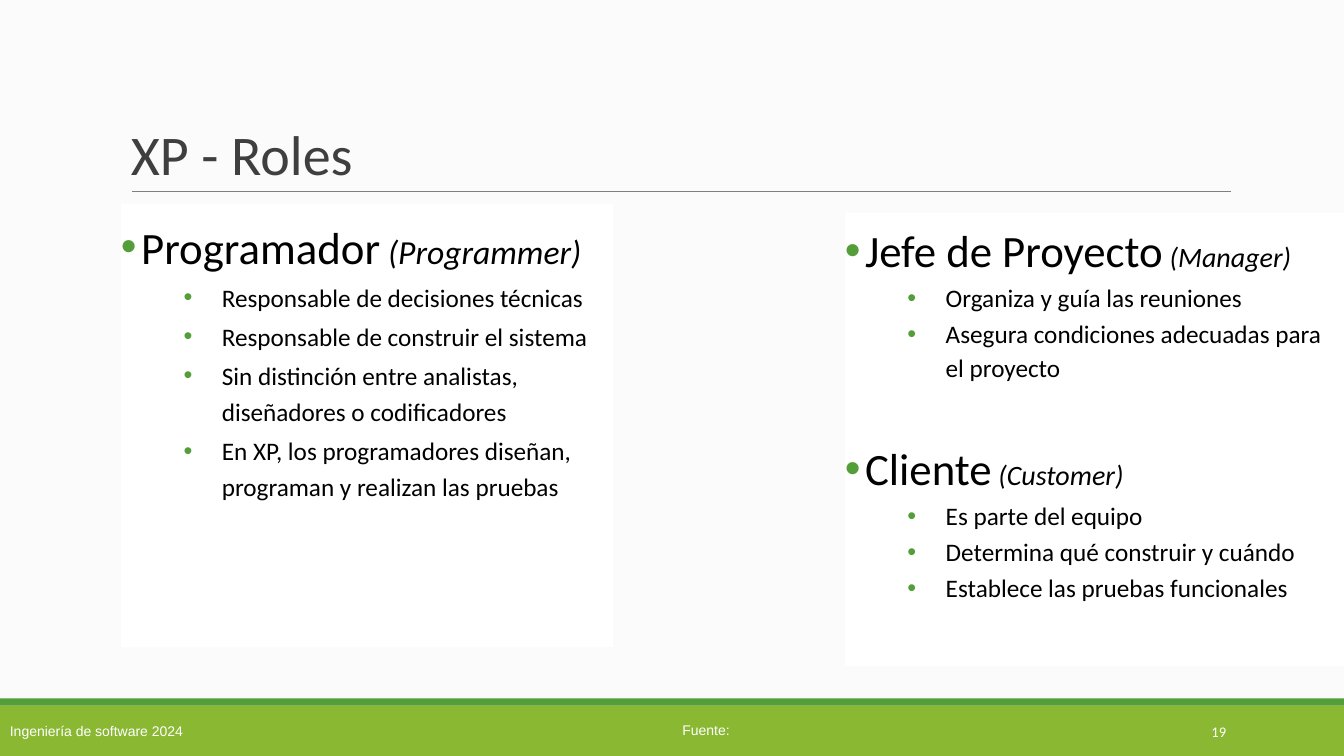
from lxml import etree
from pptx import Presentation
from pptx.dml.color import RGBColor
from pptx.enum.shapes import MSO_CONNECTOR, MSO_SHAPE
from pptx.enum.text import MSO_ANCHOR, PP_ALIGN
from pptx.oxml.ns import qn
from pptx.util import Pt

PX = 9144  # 100 px to the inch
RECTANGLE, STRAIGHT = MSO_SHAPE.RECTANGLE, MSO_CONNECTOR.STRAIGHT
TOP, MIDDLE, BOTTOM = MSO_ANCHOR.TOP, MSO_ANCHOR.MIDDLE, MSO_ANCHOR.BOTTOM
LEFT, RIGHT = PP_ALIGN.LEFT, PP_ALIGN.RIGHT

THEME = {
    "background": RGBColor(0xFB, 0xFB, 0xFB),
    "white": RGBColor(0xFF, 0xFF, 0xFF),
    "black": RGBColor(0, 0, 0),
    "title": RGBColor(0x3F, 0x3F, 0x3F),
    "rule": RGBColor(0x7F, 0x7F, 0x7F),
    "lime": RGBColor(0x8A, 0xB8, 0x33),
    "green": RGBColor(0x54, 0x9E, 0x39),
    "title_size": 40, "role_size": 32, "duty_size": 18,
    "footer_size": 10, "number_size": 10.5,
    "body_font": "Calibri", "footer_font": "Arial",
}

prs = Presentation()
prs.slide_width, prs.slide_height = 1333 * PX, 750 * PX
slide = prs.slides.add_slide(prs.slide_layouts[6])
slide.background.fill.solid()
slide.background.fill.fore_color.rgb = THEME["background"]


def add_block(left, top, width, height, color):
    block = slide.shapes.add_shape(RECTANGLE, left * PX, top * PX, width * PX, height * PX)
    block.shadow.inherit = False
    block.fill.solid()
    block.fill.fore_color.rgb = THEME[color]
    block.line.fill.background()
    return block


def set_bullet(paragraph, margin, hanging):
    properties = paragraph._p.get_or_add_pPr()
    properties.set("marL", str(margin * PX))
    properties.set("indent", str(-hanging * PX))
    color = etree.SubElement(properties, qn("a:buClr"))
    etree.SubElement(color, qn("a:srgbClr"), val=str(THEME["green"]))
    etree.SubElement(properties, qn("a:buFont"), typeface="Arial")
    etree.SubElement(properties, qn("a:buChar"), char="•")


# Footer bands and title rule
add_block(0, 700, 1333, 50, "lime")
add_block(0, 693, 1333, 7, "green")
title_rule = slide.shapes.add_connector(STRAIGHT, 131 * PX, 190 * PX, 1221 * PX, 190 * PX)
title_rule.line.color.rgb = THEME["rule"]
title_rule.line.width = Pt(0.75)
etree.SubElement(title_rule._element.spPr, qn("a:effectLst"))

# Title and footer texts
labels = [
    ("XP - Roles", (120, 31, 1100, 159), "title_size", "body_font", "title", BOTTOM, LEFT),
    ("Ingeniería de software 2024", (0, 700, 400, 50), "footer_size", "footer_font", "white", MIDDLE, LEFT),
    ("Fuente:", (667, 711, 67, 27), "footer_size", "footer_font", "white", TOP, LEFT),
    ("19", (1083, 706, 143, 40), "number_size", "body_font", "white", MIDDLE, RIGHT),
]
for words, place, size, font, color, anchor, alignment in labels:
    label = slide.shapes.add_textbox(*(length * PX for length in place)).text_frame
    label.word_wrap = True
    label.vertical_anchor = anchor
    line = label.paragraphs[0]
    line.text = words
    line.alignment = alignment
    line.line_spacing = 0.85 if size == "title_size" else 1.0
    line.font.size = Pt(THEME[size])
    line.font.name = THEME[font]
    line.font.color.rgb = THEME[color]

# Role panels: place, line spacing, size of the English name, roles with
# their space before and duties
panels = [
    ((120, 202, 488, 440), 1.2, 24, [
        ("Programador", "(Programmer)", 12, [
            "Responsable de decisiones técnicas",
            "Responsable de construir el sistema",
            "Sin distinción entre analistas, diseñadores o codificadores",
            "En XP, los programadores diseñan, programan y realizan las pruebas",
        ]),
    ]),
    ((838, 211, 495, 450), 1.1, 20, [
        ("Jefe de Proyecto", "(Manager)", 12, [
            "Organiza y guía las reuniones",
            "Asegura condiciones adecuadas para el proyecto",
        ]),
        ("Cliente", "(Customer)", 38, [
            "Es parte del equipo",
            "Determina qué construir y cuándo",
            "Establece las pruebas funcionales",
        ]),
    ]),
]
for place, spacing, english_size, roles in panels:
    panel = add_block(*place, "white").text_frame
    panel.word_wrap = True
    panel.vertical_anchor = TOP
    panel.margin_left = panel.margin_right = 0
    panel.margin_top = panel.margin_bottom = 5 * PX
    for role, english, space_before, duties in roles:
        heading = panel.paragraphs[0] if role == roles[0][0] else panel.add_paragraph()
        heading.space_before = Pt(space_before)
        set_bullet(heading, 20, 20)
        heading.font.size = Pt(THEME["role_size"])
        for words, size, italic in ((role, THEME["role_size"], False),
                                    (" ", english_size, False),
                                    (english, english_size, True)):
            run = heading.add_run()
            run.text = words
            run.font.size = Pt(size)
            run.font.italic = italic
        for duty in duties:
            item = panel.add_paragraph()
            item.text = duty
            item.level = 1
            item.space_before = Pt(2)
            item.font.size = Pt(THEME["duty_size"])
            set_bullet(item, 100, 38)
    for paragraph in panel.paragraphs:
        paragraph.alignment = LEFT
        paragraph.line_spacing = spacing
        paragraph.font.name = THEME["body_font"]
        paragraph.font.color.rgb = THEME["black"]

prs.save("out.pptx")
